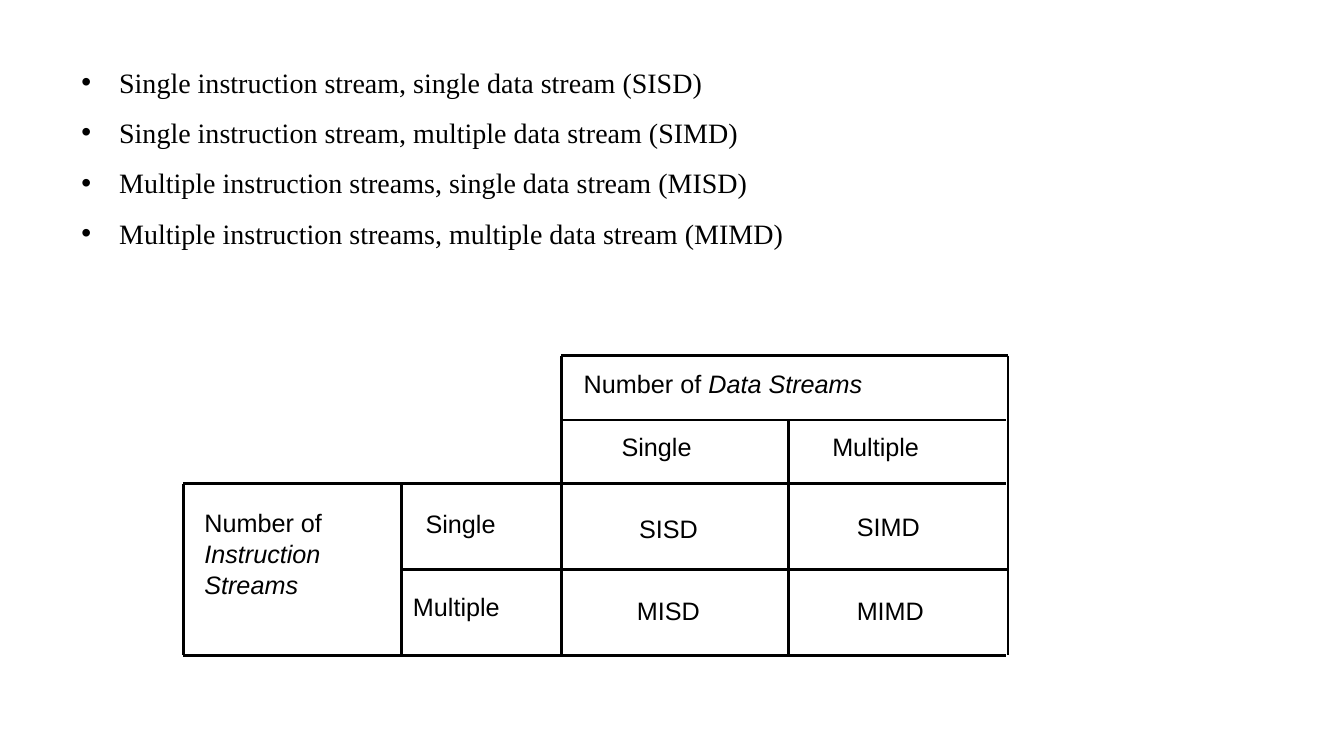
"""Build a slide that sorts computers by instruction and data streams."""
from typing import NamedTuple

from lxml import etree
from pptx import Presentation
from pptx.dml.color import RGBColor
from pptx.enum.shapes import MSO_CONNECTOR
from pptx.oxml.ns import qn
from pptx.util import Pt

STRAIGHT = MSO_CONNECTOR.STRAIGHT
COLORS = {"ink": "000000"}


class Run(NamedTuple):
    text: str
    italic: bool = False


class Label(NamedTuple):
    left: float
    top: float
    width: float
    height: float
    lines: list[list[Run]]


class Rule(NamedTuple):
    x1: float
    y1: float
    x2: float
    y2: float


BULLETS = [
    "Single instruction stream, single data stream (SISD)",
    "Single instruction stream, multiple data stream (SIMD)",
    "Multiple instruction streams, single data stream (MISD)",
    "Multiple instruction streams, multiple data stream (MIMD)",
]

LEFT, SIDE, BODY, SPLIT, RIGHT = 131, 286.5, 401, 563, 720
TOP, HEAD, FIRST, SECOND, BASE = 254, 300, 345.5, 407, 468
GAP = 1.5

RULES = [
    Rule(BODY, TOP, RIGHT, TOP),
    Rule(BODY + GAP, HEAD, RIGHT - GAP, HEAD),
    Rule(LEFT, FIRST, RIGHT - GAP, FIRST),
    Rule(SIDE + GAP, SECOND, RIGHT, SECOND),
    Rule(LEFT, BASE, RIGHT - GAP, BASE),
    Rule(LEFT, FIRST, LEFT, BASE),
    Rule(SIDE, FIRST, SIDE, BASE),
    Rule(BODY, TOP, BODY, BASE),
    Rule(SPLIT, HEAD, SPLIT, BASE),
    Rule(RIGHT, TOP, RIGHT, BASE),
]

LABELS = [
    Label(412, 260, 285, 33, [[Run("Number of "), Run("Data Streams", True)]]),
    Label(141, 359.5, 128, 92, [[Run("Number of")], [Run("Instruction", True)],
                                [Run("Streams", True)]]),
    Label(439, 305.5, 82, 33, [[Run("Single")]]),
    Label(589.5, 305.5, 98, 33, [[Run("Multiple")]]),
    Label(299, 360, 82, 33, [[Run("Single")]]),
    Label(290, 419.5, 98, 33, [[Run("Multiple")]]),
    Label(451.5, 363.5, 71, 33, [[Run("SISD")]]),
    Label(607, 362, 75, 33, [[Run("SIMD")]]),
    Label(450, 422, 75, 33, [[Run("MISD")]]),
    Label(607, 422, 79, 33, [[Run("MIMD")]]),
]


def add_text(slide, label: Label, *, font: str, size: float, space: float,
             pad: tuple[float, float], bullet: str = "", indent: float = 0) -> None:
    box = slide.shapes.add_textbox(Pt(label.left), Pt(label.top),
                                   Pt(label.width), Pt(label.height))
    frame = box.text_frame
    frame.word_wrap = True
    frame.margin_left = frame.margin_right = Pt(pad[0])
    frame.margin_top = frame.margin_bottom = Pt(pad[1])
    for i, line in enumerate(label.lines):
        para = frame.add_paragraph() if i else frame.paragraphs[0]
        para.line_spacing = space
        if bullet:
            props = para._p.get_or_add_pPr()
            props.set("marL", str(Pt(indent)))
            props.set("indent", str(-Pt(indent)))
            etree.SubElement(props, qn("a:buFont")).set("typeface", "Arial")
            etree.SubElement(props, qn("a:buChar")).set("char", bullet)
        for part in line:
            run = para.add_run()
            run.text = part.text
            run.font.name = font
            run.font.size = Pt(size)
            run.font.italic = part.italic
            run.font.color.rgb = RGBColor.from_string(COLORS["ink"])


def add_rule(slide, rule: Rule) -> None:
    line = slide.shapes.add_connector(STRAIGHT, *(Pt(v) for v in rule))
    line.line.width = Pt(2)
    line.line.color.rgb = RGBColor.from_string(COLORS["ink"])
    etree.SubElement(line._element.spPr, qn("a:effectLst"))


def main() -> None:
    deck = Presentation()
    deck.slide_width, deck.slide_height = Pt(960), Pt(540)
    slide = deck.slides.add_slide(deck.slide_layouts[6])
    for rule in RULES:
        add_rule(slide, rule)
    for label in LABELS:
        add_text(slide, label, font="Arial", size=18, space=1.02, pad=(5, 2.5))
    kinds = Label(51, 31, 669, 189, [[Run(text)] for text in BULLETS])
    add_text(slide, kinds, font="Times New Roman", size=20, space=1.5,
             pad=(7.2, 3.6), bullet="•", indent=27)
    deck.save("out.pptx")


if __name__ == "__main__":
    main()
